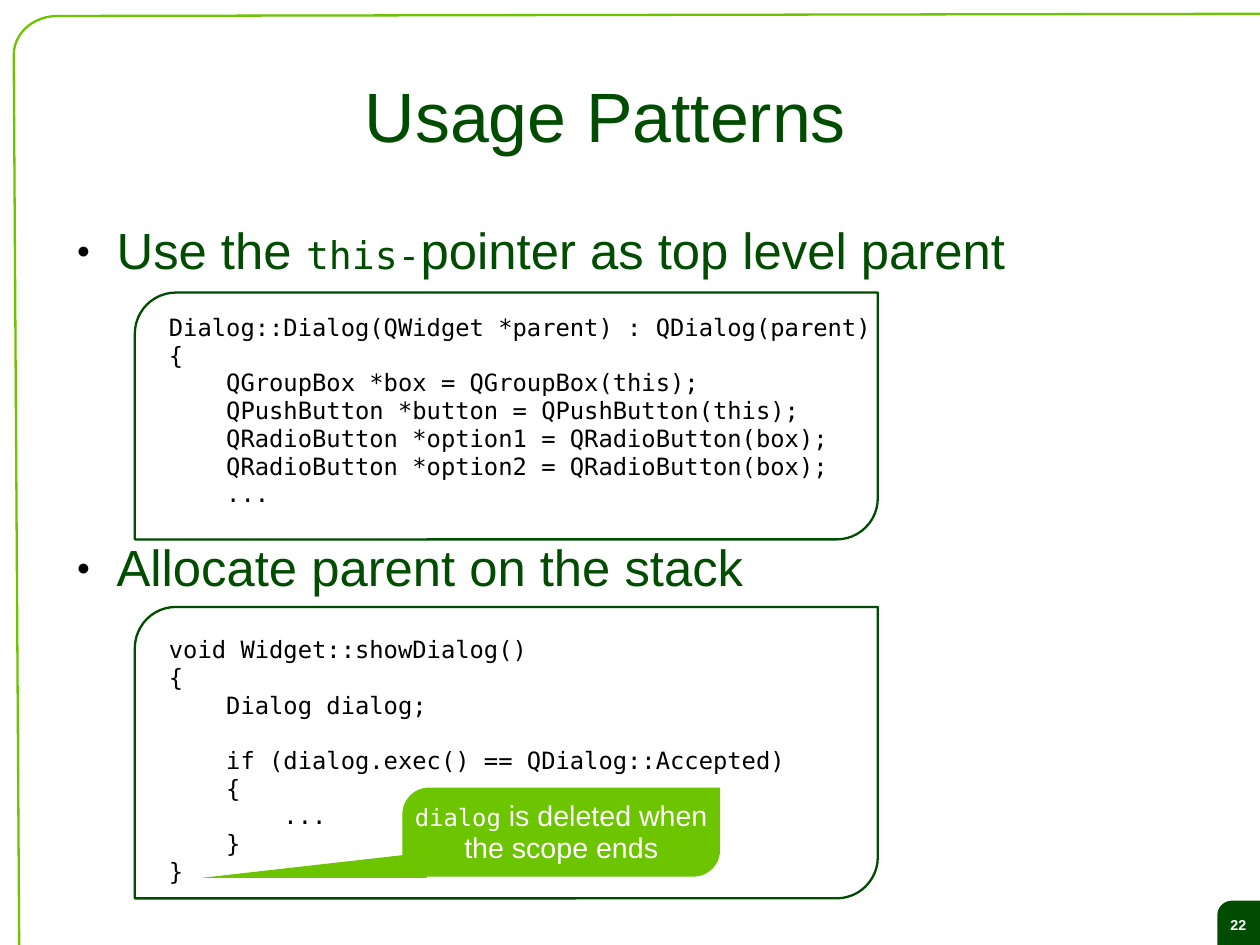
from math import cos, pi, sin

from lxml.etree import SubElement
from pptx import Presentation
from pptx.dml.color import RGBColor
from pptx.enum.shapes import MSO_SHAPE
from pptx.enum.text import MSO_ANCHOR, PP_ALIGN
from pptx.oxml.ns import qn
from pptx.util import Inches, Pt

DARK, LIME, BLACK, WHITE = "004C00", "6DC400", "000000", "FFFFFF"
SANS, MONO = "Arial", "DejaVu Sans Mono"


def paint(shape, fill=None, line=None):
    shape.shadow.inherit = False
    for target, color in ((shape.fill, fill), (shape.line.fill, line)):
        if color:
            target.solid()
            target.fore_color.rgb = RGBColor.from_string(color)
        else:
            target.background()
    if line:
        shape.line.width = Pt(1.45)


def write(shape, lines, color, insets, align=PP_ALIGN.LEFT, anchor=MSO_ANCHOR.TOP, spacing=0.93):
    frame = shape.text_frame
    frame.word_wrap = True
    frame.vertical_anchor = anchor
    frame.margin_left, frame.margin_top, frame.margin_right, frame.margin_bottom = map(Inches, insets)
    for index, runs in enumerate(lines):
        paragraph = frame.paragraphs[0] if index == 0 else frame.add_paragraph()
        paragraph.alignment = align
        paragraph.line_spacing = spacing
        for text, size, font in runs:
            run = paragraph.add_run()
            run.text = text
            run.font.size = Pt(size)
            run.font.name = font
            run.font.color.rgb = RGBColor.from_string(color)
    return frame.paragraphs


presentation = Presentation()
presentation.slide_width = Inches(28 / 2.54)
presentation.slide_height = Inches(21 / 2.54)
slide = presentation.slides.add_slide(presentation.slide_layouts[6])
shapes = slide.shapes

badge = shapes.add_shape(MSO_SHAPE.ROUND_2_DIAG_RECTANGLE, Inches(10.65), Inches(7.88), Inches(0.45), Inches(0.42))
badge.adjustments[0] = 0.3
paint(badge, fill=DARK)
number = write(badge, [[("22", 9, SANS)]], WHITE, (0, 0.01, 0.08, 0), PP_ALIGN.CENTER, MSO_ANCHOR.MIDDLE)
number[0].runs[0].font.bold = True

corner = [(0.5 - 0.38 * sin(step * pi / 24), 0.48 - 0.34 * cos(step * pi / 24)) for step in range(13)]
border_points = corner + [(0.17, 8.55), (11.33, 8.57), (11.27, 0.12)]
tail_points = [(3.54, 7.48), (1.77, 7.68), (3.74, 7.68)]
outlines = []
for points in (border_points, tail_points):
    (start_x, start_y), *others = [(Inches(x), Inches(y)) for x, y in points]
    builder = shapes.build_freeform(start_x, start_y)
    builder.add_line_segments(others, close=True)
    outlines.append(builder.convert_to_shape())
border, callout_tail = outlines
paint(border, line=LIME)
paint(callout_tail, fill=LIME)

title = shapes.add_textbox(Inches(1.72), Inches(0.33), Inches(7.16), Inches(1.38))
write(title, [[("Usage Patterns", 44, SANS)]], DARK, (0, 0.04, 0, 0), PP_ALIGN.CENTER, MSO_ANCHOR.MIDDLE)

body = shapes.add_textbox(Inches(0.55), Inches(1.93), Inches(9.92), Inches(5.36))
bullets = write(
    body,
    [
        [("Use the ", 32, SANS), ("this-", 24, MONO), ("pointer as top level parent", 32, SANS)],
        [("Allocate parent on the stack", 32, SANS)],
    ],
    DARK,
    (0, 0.03, 0, 0),
)
bullets[0].space_after = Pt(164)
for paragraph in bullets:
    properties = paragraph._p.get_or_add_pPr()
    properties.set("marL", str(Inches(0.47)))
    properties.set("indent", str(Inches(-0.35)))
    SubElement(SubElement(properties, qn("a:buClr")), qn("a:srgbClr")).set("val", BLACK)
    SubElement(properties, qn("a:buSzPct")).set("val", "45000")
    SubElement(properties, qn("a:buFont")).set("typeface", SANS)
    SubElement(properties, qn("a:buChar")).set("char", "●")

constructor_code = [
    "Dialog::Dialog(QWidget *parent) : QDialog(parent)",
    "{",
    "    QGroupBox *box = QGroupBox(this);",
    "    QPushButton *button = QPushButton(this);",
    "    QRadioButton *option1 = QRadioButton(box);",
    "    QRadioButton *option2 = QRadioButton(box);",
    "    ...",
]
stack_code = [
    "void Widget::showDialog()",
    "{",
    "    Dialog dialog;",
    "    if (dialog.exec() == QDialog::Accepted)",
    "    {",
    "        ...",
    "    }",
    "}",
]
for code, text_top, text_height, panel_top, panel_height in (
    (constructor_code, 2.69, 1.97, 2.56, 2.16),
    (stack_code, 5.51, 2.36, 5.31, 2.55),
):
    panel = shapes.add_shape(
        MSO_SHAPE.ROUND_2_DIAG_RECTANGLE, Inches(1.18), Inches(panel_top), Inches(6.5), Inches(panel_height)
    )
    panel.adjustments[0] = 0.36 / panel_height
    paint(panel, line=DARK)
    listing = shapes.add_textbox(Inches(1.38), Inches(text_top), Inches(6.5), Inches(text_height))
    code_lines = write(listing, [[(line, 15, MONO)] for line in code], BLACK, (0.1, 0.06, 0.1, 0.05), spacing=0.97)
code_lines[3].space_before = Pt(17.4)

callout = shapes.add_shape(MSO_SHAPE.ROUND_2_DIAG_RECTANGLE, Inches(3.52), Inches(6.89), Inches(2.78), Inches(0.78))
callout.adjustments[0] = 0.3
paint(callout, fill=LIME)
write(
    callout,
    [[("dialog", 15, MONO), (" is deleted when", 18, SANS)], [("the scope ends", 18, SANS)]],
    WHITE,
    (0, 0.01, 0, 0),
    PP_ALIGN.CENTER,
    MSO_ANCHOR.MIDDLE,
    0.95,
)

presentation.save("out.pptx")
